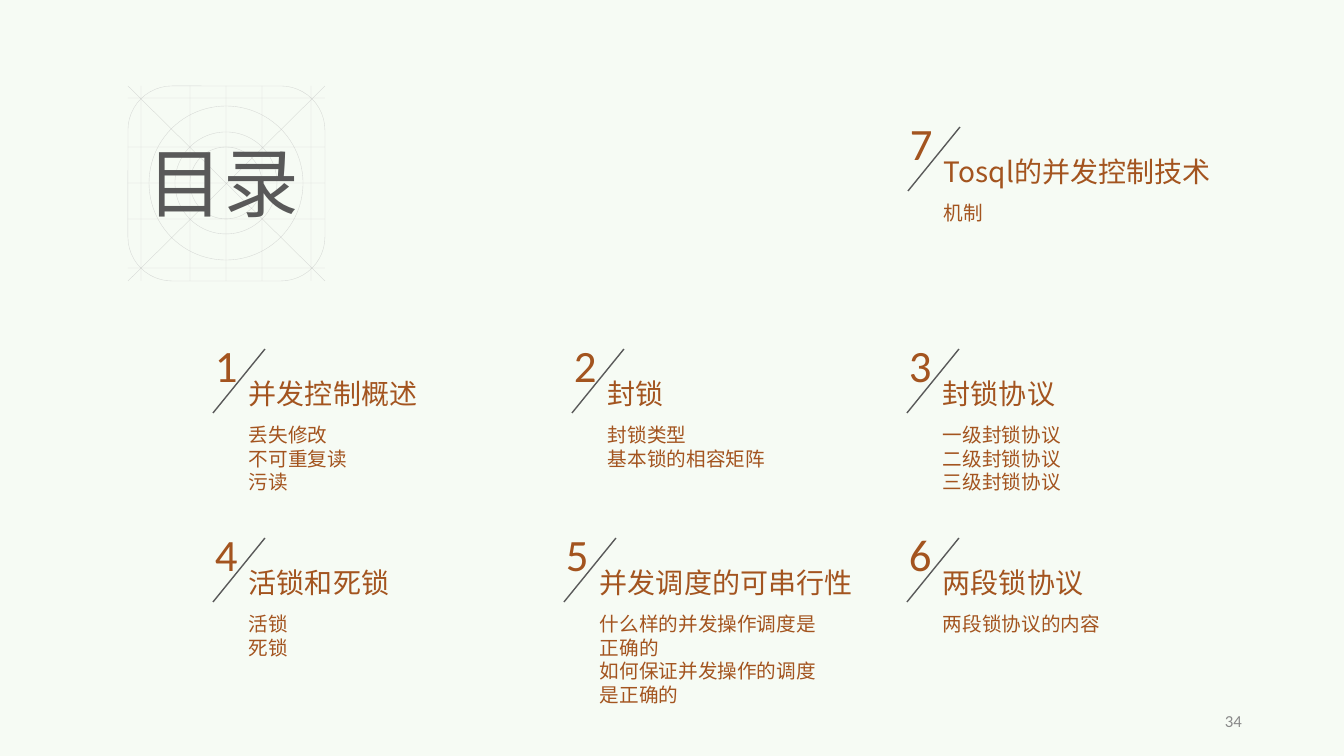
import dataclasses

import pptx
import pptx.dml.color
import pptx.enum.shapes
import pptx.enum.text
import pptx.oxml
import pptx.oxml.ns
import pptx.util

PX = 914400 / 100.8
INSET = 10
SHAPE = pptx.enum.shapes.MSO_SHAPE
ALIGN = pptx.enum.text.PP_ALIGN
ANCHOR = pptx.enum.text.MSO_ANCHOR
FIT = pptx.enum.text.MSO_AUTO_SIZE


@dataclasses.dataclass(frozen=True)
class Theme:
    background: str = "F6FBF4"
    rust: str = "A3541F"
    slate: str = "595959"
    guide: str = "BFBFBF"
    footer: str = "898989"
    cjk: str = "Noto Sans CJK SC"
    latin: str = "Calibri"
    title: int = 54
    number: int = 32
    heading: int = 20
    detail: int = 14
    page_number: int = 12


def px(length):
    return pptx.util.Emu(round(length * PX))


def rgb(value):
    return pptx.dml.color.RGBColor.from_string(value)


def assign(target, values):
    for name, value in values.items():
        setattr(target, name, value)


def xml_child(parent, tag, **attributes):
    child = pptx.oxml.ns.qn(tag)
    element = parent.makeelement(child, attributes)
    parent.append(element)
    return element


class AgendaSlide:
    def __init__(self, deck, theme):
        self.theme = theme
        self.page = deck.slides.add_slide(deck.slide_layouts[6])
        self.shapes = self.page.shapes
        fill = self.page.background.fill
        fill.solid()
        fill.fore_color.rgb = rgb(theme.background)

    def style_line(self, line, color, width, opacity=100):
        line.color.rgb = rgb(color)
        line.width = pptx.util.Pt(width)
        if opacity < 100:
            tone = line.fill._xPr.find(".//" + pptx.oxml.ns.qn("a:srgbClr"))
            xml_child(tone, "a:alpha", val=str(opacity * 1000))

    def line(self, start, end, color, width, opacity=100):
        connector = self.shapes.add_connector(
            pptx.enum.shapes.MSO_CONNECTOR.STRAIGHT, *map(px, start + end))
        self.style_line(connector.line, color, width, opacity)
        xml_child(connector._element.spPr, "a:effectLst")

    def outline(self, kind, left, top, width, height, radius=None):
        """Draw an unfilled shape in the faint guide line."""
        shape = self.shapes.add_shape(kind, *map(px, (left, top, width, height)))
        shape.shadow.inherit = False
        shape.fill.background()
        if radius is not None:
            shape.adjustments[0] = radius
        self.style_line(shape.line, self.theme.guide, 0.25, 56)

    def text(self, frame, lines, size, color, font, align=ALIGN.LEFT,
             anchor=ANCHOR.TOP, fit=FIT.SHAPE_TO_FIT_TEXT):
        box = self.shapes.add_textbox(*map(px, frame))
        assign(box.text_frame, {"word_wrap": True, "auto_size": fit,
                                "vertical_anchor": anchor})
        for index, line in enumerate(lines):
            para = (box.text_frame.add_paragraph() if index
                    else box.text_frame.paragraphs[0])
            para.alignment = align
            span = para.add_run()
            span.text = line
            assign(span.font, {"name": font, "size": pptx.util.Pt(size)})
            span.font.color.rgb = rgb(color)
            xml_child(span.font._element, "a:ea", typeface=font)

    def guide_grid(self):
        """Draw the icon grid behind the title as one group."""
        theme, page_shapes = self.theme, self.shapes
        self.shapes = page_shapes.add_group_shape().shapes
        center_x, center_y = 226, 183
        for radius in (77, 51, 36):
            self.outline(SHAPE.OVAL, center_x - radius, center_y - radius,
                         2 * radius, 2 * radius)
        left, top, right, bottom = 128, 86, 325, 281
        self.outline(SHAPE.ROUNDED_RECTANGLE, left, top, right - left,
                     bottom - top, 0.226)
        guides = [((left, top), (right, bottom)), ((left, bottom), (right, top))]
        for offset in (-85, -36, 0, 36, 85):
            x, y = center_x + offset, center_y + offset
            guides += [((x, top), (x, bottom)), ((left, y), (right, y))]
        for start, end in guides:
            self.line(start, end, theme.guide, 0.25, 56)
        self.shapes = page_shapes

    def item(self, number, left, top, heading, details, width=228, rows=None):
        """Draw one entry; left and top are the corner of its slash."""
        theme = self.theme
        rows = rows or len(details)
        self.text((left - 8, top - 16, 45, 64), [str(number)],
                  theme.number, theme.rust, theme.latin)
        self.line((left + 52, top), (left, top + 64), theme.slate, 1)
        self.text((left + 26, top + 23, width, 44), [heading],
                  theme.heading, theme.rust, theme.cjk)
        self.text((left + 26, top + 69, 255, INSET + round(23.6 * rows)), details,
                  theme.detail, theme.rust, theme.cjk)


def main():
    deck = pptx.Presentation()
    assign(deck, {"slide_width": px(1344), "slide_height": px(756)})
    theme = Theme()
    agenda = AgendaSlide(deck, theme)

    agenda.guide_grid()
    agenda.text((138, 131, 179, 101), ["目录"], theme.title, theme.slate, theme.cjk)

    first, second, third = 213, 572, 907
    upper, lower = 349, 538
    agenda.item(1, first, upper, "并发控制概述", ["丢失修改", "不可重复读", "污读"])
    agenda.item(2, second, upper, "封锁", ["封锁类型", "基本锁的相容矩阵"])
    agenda.item(3, third, upper, "封锁协议",
                ["一级封锁协议", "二级封锁协议", "三级封锁协议"])
    agenda.item(4, first, lower, "活锁和死锁", ["活锁", "死锁"])
    agenda.item(5, second - 8, lower, "并发调度的可串行性",
                ["什么样的并发操作调度是正确的", "如何保证并发操作的调度是正确的"],
                width=281, rows=4)
    agenda.item(6, third, lower, "两段锁协议", ["两段锁协议的内容"], width=308)
    agenda.item(7, third + 1, 127, "Tosql的并发控制技术", ["机制"], width=368)

    agenda.text((950, 701, 302, 40), ["34"], theme.page_number, theme.footer,
                theme.latin, ALIGN.RIGHT, ANCHOR.MIDDLE, FIT.NONE)
    deck.save("out.pptx")


if __name__ == "__main__":
    main()
